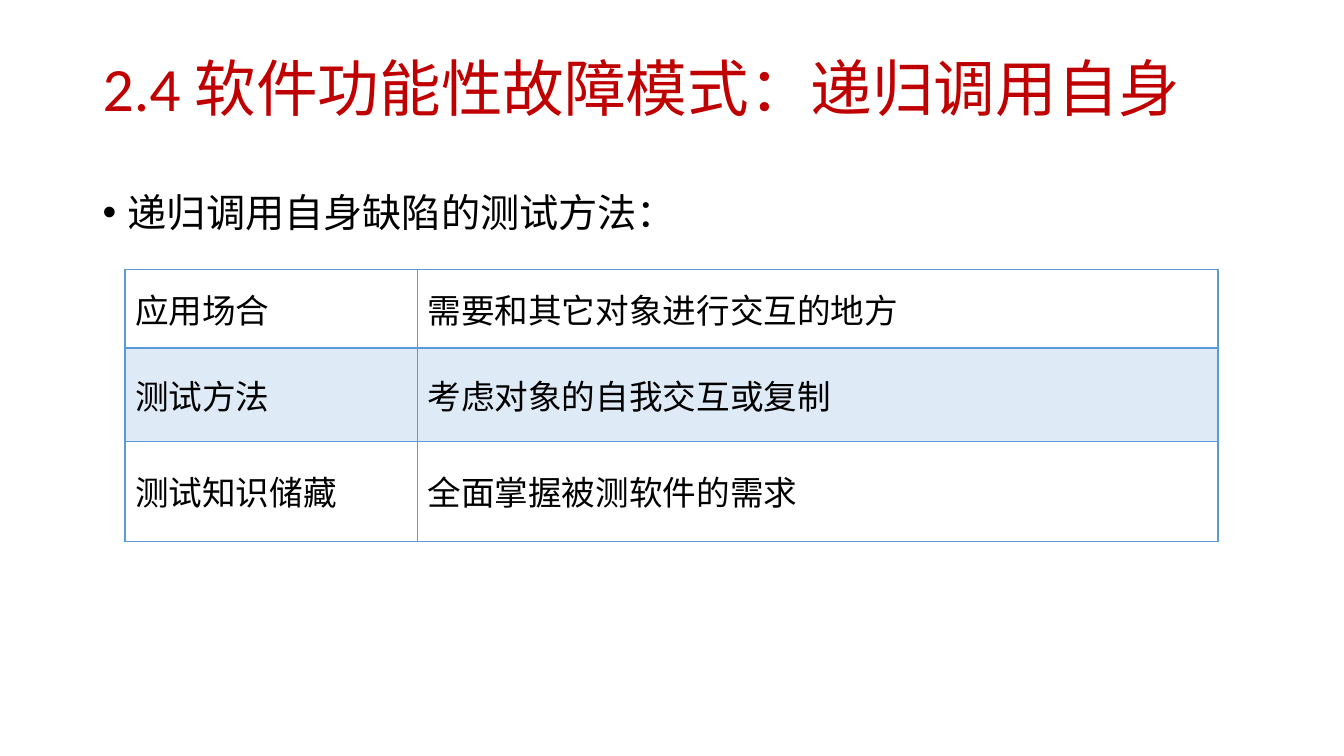
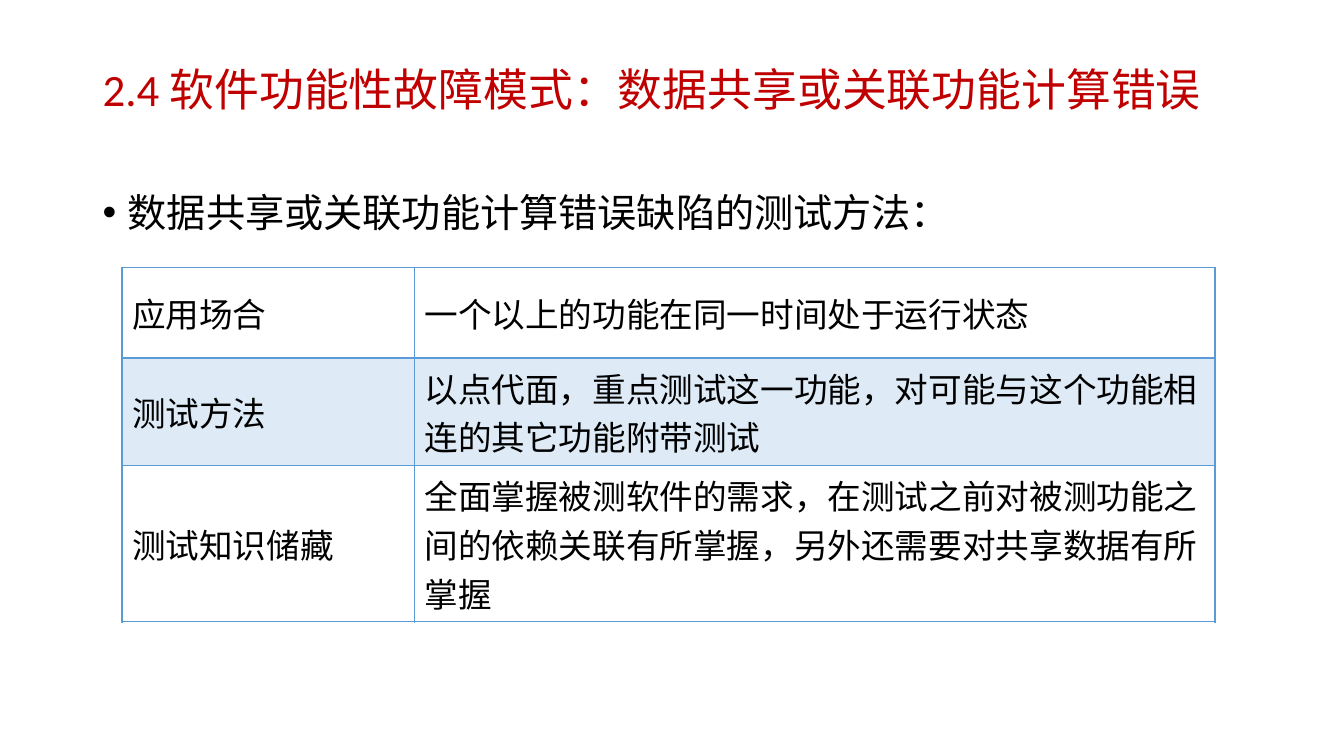
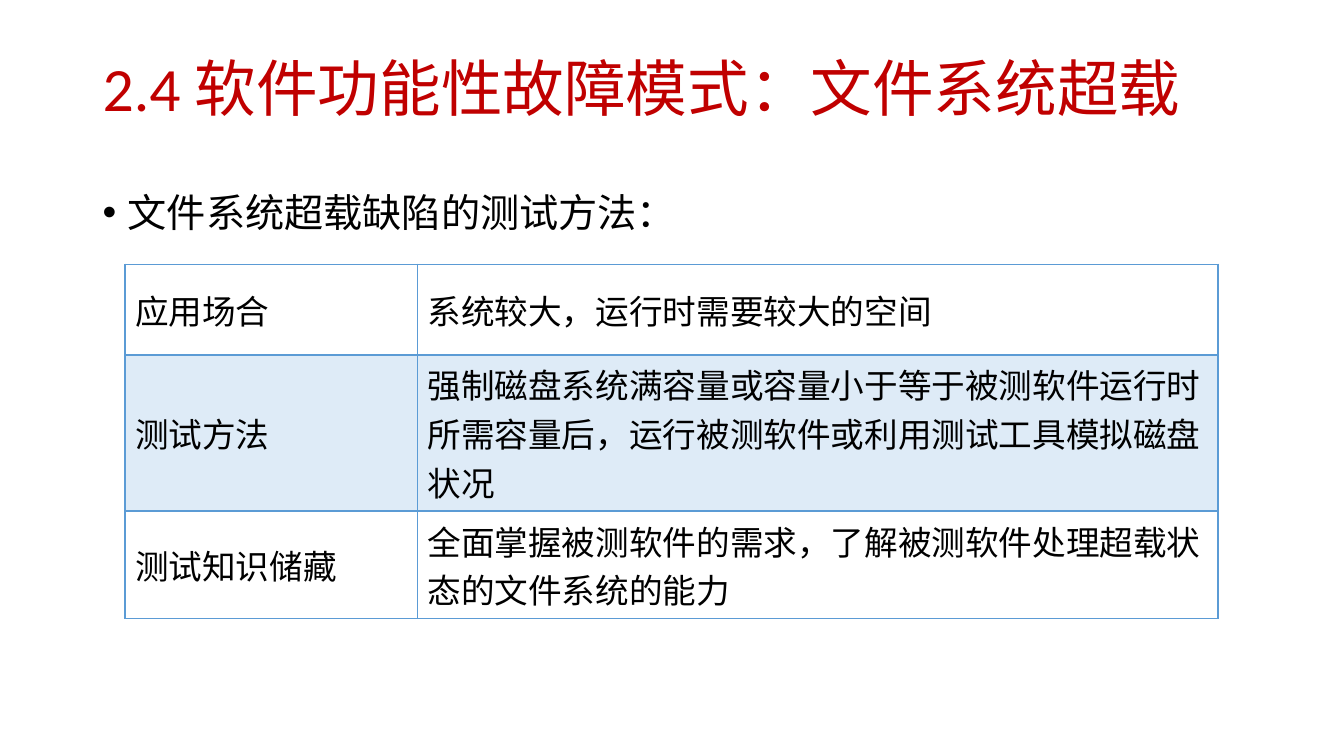
import pptx
import pptx.util
import pptx.dml.color
import pptx.enum.text
import pptx.oxml.ns
from lxml import etree

Inches, Pt = pptx.util.Inches, pptx.util.Pt
MIDDLE = pptx.enum.text.MSO_ANCHOR.MIDDLE

# Shared style
RED, BLACK, BLUE, PALE = "C00000", "000000", "5B9BD5", "DEEBF7"
SANS = "Noto Sans CJK SC"
WIDTHS = (2.9, 7.94)
LABELS = ("应用场合", "测试方法", "测试知识储藏")

# Row heights that hold two and three lines of text
TWO, THREE = 1.07, 1.55

# One entry per slide
SLIDES = [
    {"topic": "递归调用自身", "size": 44, "at": (1.24, 2.67),
     "rows": (0.78, 0.93, 0.99),
     "texts": ("需要和其它对象进行交互的地方",
               "考虑对象的自我交互或复制",
               "全面掌握被测软件的需求")},
    {"topic": "数据共享或关联功能计算错误", "size": 32, "at": (1.21, 2.65),
     "rows": (0.9, TWO, THREE),
     "texts": ("一个以上的功能在同一时间处于运行状态",
               "以点代面，重点测试这一功能，对可能与这个功能相连的其它功能附带测试",
               "全面掌握被测软件的需求，在测试之前对被测功能之间的依赖关联有所掌握，"
               "另外还需要对共享数据有所掌握")},
    {"topic": "文件系统超载", "size": 44, "at": (1.24, 2.62),
     "rows": (0.9, THREE, TWO),
     "texts": ("系统较大，运行时需要较大的空间",
               "强制磁盘系统满容量或容量小于等于被测软件运行时所需容量后，"
               "运行被测软件或利用测试工具模拟磁盘状况",
               "全面掌握被测软件的需求，了解被测软件处理超载状态的文件系统的能力")},
]


def color(code):
    return pptx.dml.color.RGBColor.from_string(code)


def node(parent, tag, **attrs):
    """Add an XML child such as a:ln."""
    return etree.SubElement(parent, pptx.oxml.ns.qn(tag), attrs)


def add_run(para, text, size, code=BLACK, font=SANS):
    run = para.add_run()
    run.text = text
    for name, value in {"size": Pt(size), "name": font}.items():
        setattr(run.font, name, value)
    run.font.color.rgb = color(code)
    node(run.font._element, "a:ea", typeface=SANS)


def add_box(slide, top, height, spacing):
    box = slide.shapes.add_textbox(
        Inches(0.92), Inches(top), Inches(11.5), Inches(height))
    frame = box.text_frame
    frame.word_wrap = True
    para = frame.paragraphs[0]
    para.line_spacing = spacing
    return frame, para


def add_title(slide, topic, size):
    frame, para = add_box(slide, 0.4, 1.02, 0.9)
    frame.vertical_anchor = MIDDLE
    add_run(para, "2.4 软件功能性故障模式：" + topic, size, RED, "Calibri")


def add_bullet(slide, text):
    para = add_box(slide, 1.68, 5.07, 1.3)[1]
    props = para._p.get_or_add_pPr()
    props.set("marL", str(Inches(0.25)))
    props.set("indent", str(-Inches(0.25)))
    node(props, "a:buFont", typeface="Arial")
    node(props, "a:buChar", char="•")
    add_run(para, text, 28)


def add_edges(cell, widths):
    props = cell._tc.get_or_add_tcPr()
    for place, (side, width) in enumerate(widths.items()):
        line = node(props, "a:ln" + side, w=str(Pt(width)))
        node(node(line, "a:solidFill"), "a:srgbClr", val=BLUE)
        props.insert(place, line)


def add_grid(slide, at, heights, texts):
    left, top = at
    frame = slide.shapes.add_table(
        len(heights), len(WIDTHS), Inches(left), Inches(top),
        Inches(sum(WIDTHS)), Inches(sum(heights)))
    table = frame.table
    for col, width in zip(table.columns, WIDTHS):
        col.width = Inches(width)
    for i, (height, pair) in enumerate(zip(heights, zip(LABELS, texts))):
        table.rows[i].height = Inches(height)
        for j, text in enumerate(pair):
            cell = table.cell(i, j)
            cell.vertical_anchor = MIDDLE
            if i == 1:
                cell.fill.solid()
                cell.fill.fore_color.rgb = color(PALE)
            else:
                cell.fill.background()
            # The rule under the first row is heavier
            add_edges(cell, {"L": 1, "R": 1, "T": 2 if i == 1 else 1,
                             "B": 2 if i == 0 else 1})
            add_run(cell.text_frame.paragraphs[0], text, 24)


def main():
    deck = pptx.Presentation()
    deck.slide_width, deck.slide_height = Inches(13.33), Inches(7.5)
    for item in SLIDES:
        slide = deck.slides.add_slide(deck.slide_layouts[6])
        add_title(slide, item["topic"], item["size"])
        add_bullet(slide, item["topic"] + "缺陷的测试方法：")
        add_grid(slide, item["at"], item["rows"], item["texts"])
    deck.save("out.pptx")


if __name__ == "__main__":
    main()
